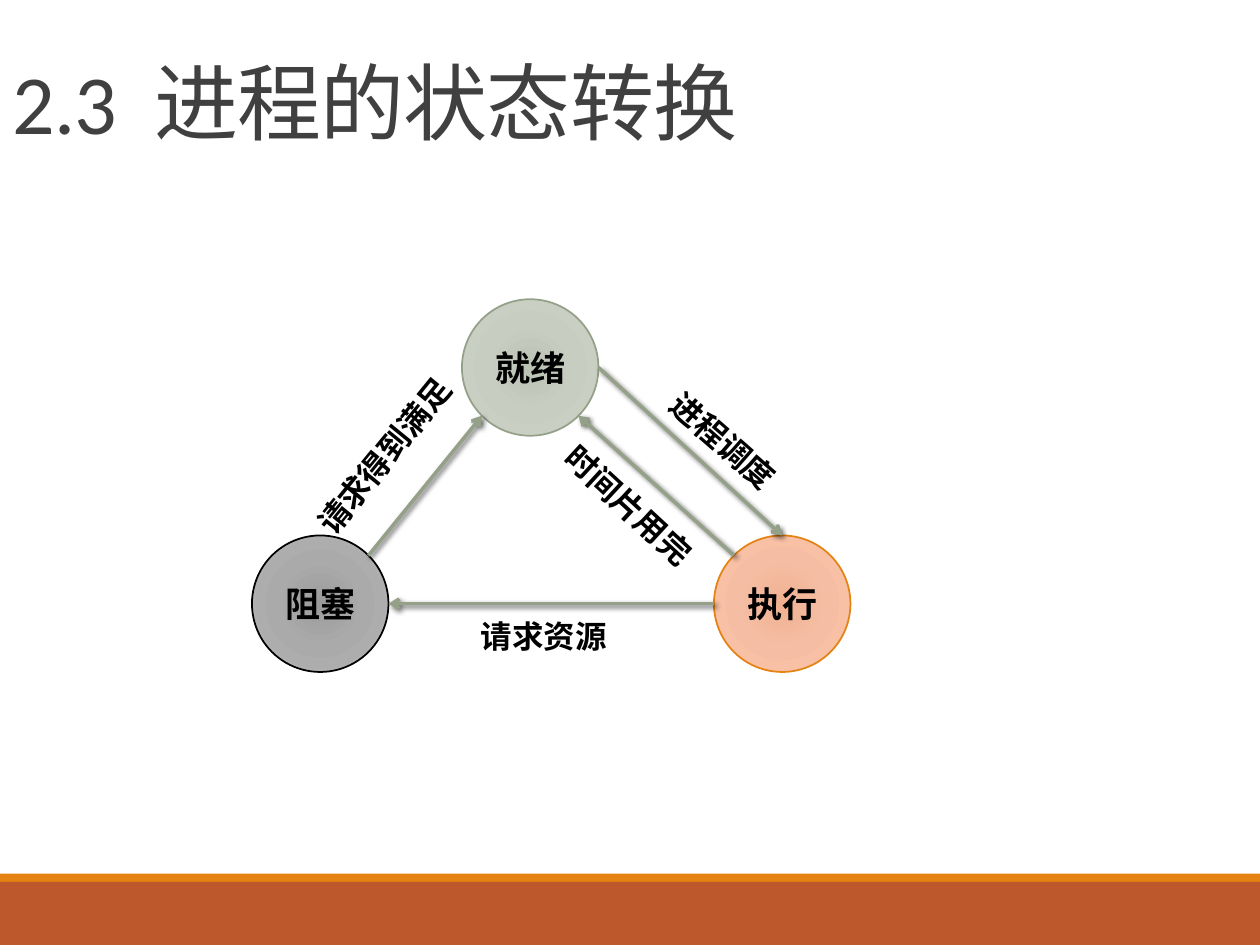
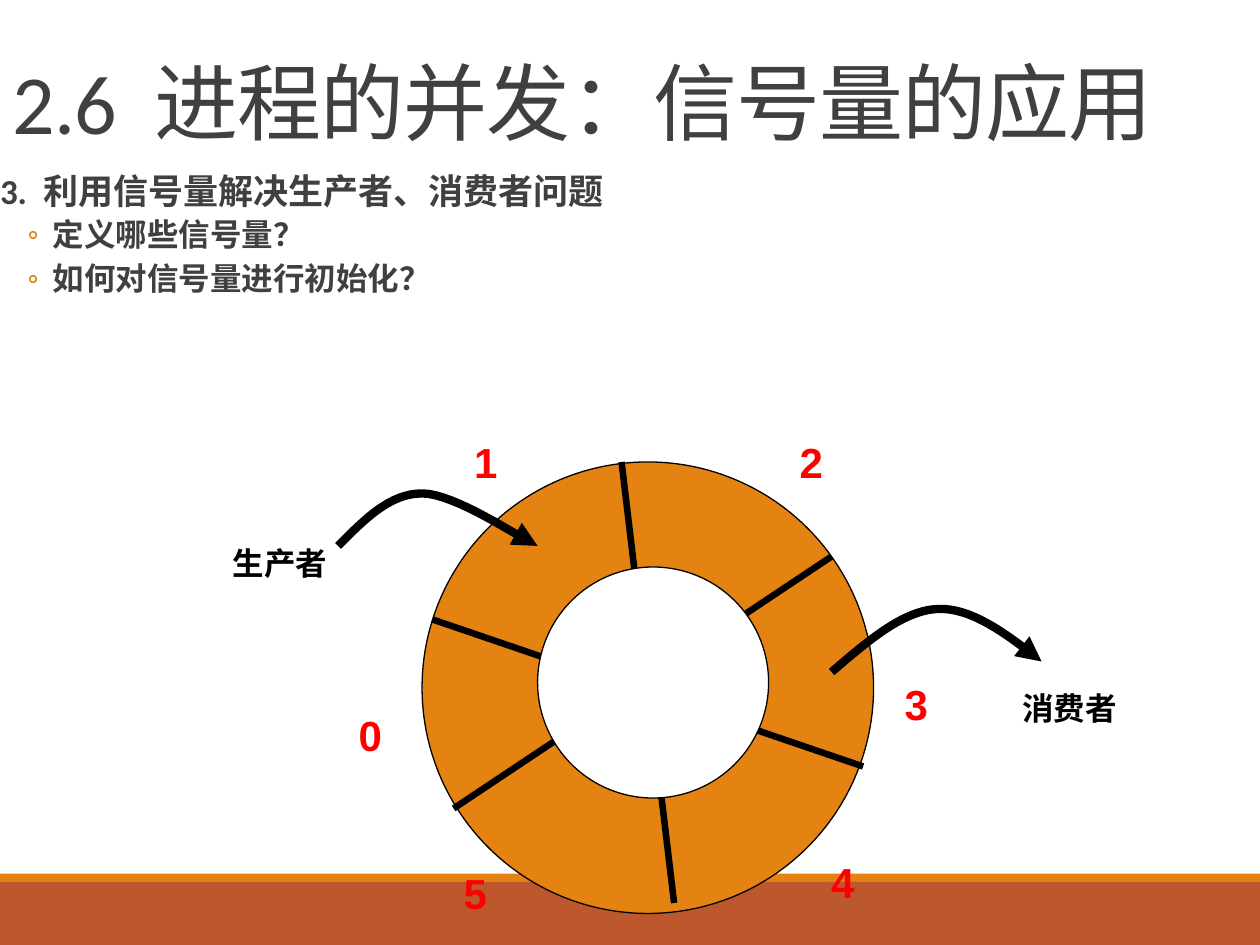
from math import cos, radians, sin

from pptx import Presentation
from pptx.dml.color import RGBColor
from pptx.enum.shapes import MSO_CONNECTOR as Link, MSO_SHAPE as Preset
from pptx.enum.text import MSO_ANCHOR as Anchor, MSO_AUTO_SIZE as AutoSize, PP_ALIGN as Align
from pptx.oxml import parse_xml
from pptx.oxml.ns import nsdecls, qn
from pptx.util import Inches, Pt

# Shared style: the grid has 120 columns and 90 rows of equal square cells
COLUMNS, ROWS = 120, 90
CELL = Inches(10) / COLUMNS
INK, BLACK, WHITE, RED = "404040", "000000", "FFFFFF", "FF0000"
ORANGE, RUST, SAGE = "E48312", "BD582C", "94A088"
BODY_FONT, LABEL_FONT = "Calibri", "Arial"
SPACE_WIDTH = 0.23  # width of a space as a share of the font size

TITLE_FRAME = dict(vertical_anchor=Anchor.BOTTOM, word_wrap=True, auto_size=AutoSize.NONE)
BODY_FRAME = dict(vertical_anchor=Anchor.TOP, word_wrap=True, auto_size=AutoSize.NONE,
                  margin_left=0, margin_right=0)
TITLE_PARAGRAPH = dict(alignment=Align.LEFT, line_spacing=0.85, space_before=Pt(0))
HEADING = dict(alignment=Align.JUSTIFY, line_spacing=0.9, space_before=Pt(0), space_after=Pt(2))
QUESTION = dict(level=1, alignment=Align.JUSTIFY, line_spacing=0.9,
                space_before=Pt(2), space_after=Pt(4))


def color(hex_code):
    return RGBColor.from_string(hex_code)


def apply(target, formats):
    for name, value in formats.items():
        setattr(target, name, value)


def xml(body):
    """Parse one drawing element, given without its namespace declaration."""
    tag = body.split(">")[0].split()[0].rstrip("/")
    return parse_xml(body.replace(tag, f"{tag} {nsdecls('a')}", 1))


class Deck:
    def __init__(self):
        self.prs = Presentation()
        self.prs.slide_width, self.prs.slide_height = round(COLUMNS * CELL), round(ROWS * CELL)
        self.slide = None

    def cells(self, *lengths):
        return [round(length * CELL) for length in lengths]

    def new_slide(self, layout, title):
        first = self.slide is None
        self.slide = self.prs.slides.add_slide(self.prs.slide_layouts[layout])
        if first:
            self.footer_bands()
        heading = self.slide.shapes.title
        self.place(heading, 0, 0, COLUMNS, 15)
        apply(heading.text_frame, TITLE_FRAME)
        paragraph = heading.text_frame.paragraphs[0]
        apply(paragraph, TITLE_PARAGRAPH)
        self.numbered(paragraph, title, 48, tracking=-0.5)

    def footer_bands(self):
        """Put both bands on the master, behind its placeholders."""
        master_tree = self.prs.slide_master.shapes.element
        for top, height, fill in ((84, 6, RUST), (83.2, 0.8, ORANGE)):
            band = self.shape(Preset.RECTANGLE, 0, top, COLUMNS, height, fill)
            master_tree.insert(2, band.element)

    def place(self, item, *box):
        apply(item, dict(zip(("left", "top", "width", "height"), self.cells(*box))))

    def run(self, paragraph, text, size, hex_code=BLACK, font=BODY_FONT, bold=False, tracking=0):
        run = paragraph.add_run()
        run.text = text
        apply(run.font, dict(name=font, size=Pt(size), bold=bold))
        run.font.color.rgb = color(hex_code)
        if tracking:
            run.font._element.set("spc", str(round(tracking * 100)))

    def numbered(self, paragraph, text, size, bold=False, tracking=0):
        """Write a number and its heading with a widened space between them."""
        number, heading = text.split(" ", 1)
        gap = SPACE_WIDTH * size + tracking
        for part, spread in ((number, tracking), (" ", gap), (heading, tracking)):
            self.run(paragraph, part, size, INK, bold=bold, tracking=spread)

    def body(self, heading, questions):
        box = self.slide.placeholders[1]
        self.place(box, 0, 16, COLUMNS, 70)
        frame = box.text_frame
        apply(frame, BODY_FRAME)
        first = frame.paragraphs[0]
        self.bullet(first, 0.1, -0.1)
        apply(first, HEADING)
        self.numbered(first, heading, 20, bold=True)
        for question in questions:
            paragraph = frame.add_paragraph()
            self.bullet(paragraph, 0.42, -0.2, "◦")
            apply(paragraph, QUESTION)
            self.run(paragraph, question, 18, INK, bold=True)

    def bullet(self, paragraph, margin, indent, mark=None):
        props = paragraph._p.get_or_add_pPr()
        props.set("marL", str(Inches(margin)))
        props.set("indent", str(Inches(indent)))
        if mark:
            props.append(xml(f'<a:buClr><a:srgbClr val="{ORANGE}"/></a:buClr>'))
            props.append(xml(f'<a:buFont typeface="{BODY_FONT}"/>'))
            props.append(xml(f'<a:buChar char="{mark}"/>'))
        else:
            props.append(xml("<a:buNone/>"))

    def shape(self, preset, left, top, width, height, fill, line=None, weight=0.75):
        item = self.slide.shapes.add_shape(preset, *self.cells(left, top, width, height))
        item.shadow.inherit = False
        item.fill.solid()
        item.fill.fore_color.rgb = color(fill)
        if line:
            self.stroke(item, line, weight)
        else:
            item.line.fill.background()
        return item

    def circle(self, left, top, size, fill, line=BLACK, weight=0.75):
        return self.shape(Preset.OVAL, left, top, size, size, fill, line, weight)

    def state(self, name, left, top, size, shades, line):
        """Draw a process state: a circle with a radial gradient and its name."""
        node = self.circle(left, top, size, shades[0], line, 1)
        stops = "".join(f'<a:gs pos="{share * 1000}"><a:srgbClr val="{shade}"/></a:gs>'
                        for share, shade in zip((0, 45, 100), shades))
        edges = " ".join(f'{side}="100000"' for side in "ltrb")
        props = node.element.spPr
        props.replace(props.find(qn("a:solidFill")), xml(
            f'<a:gradFill><a:gsLst>{stops}</a:gsLst>'
            f'<a:path path="circle"><a:fillToRect {edges}/></a:path></a:gradFill>'))
        frame = node.text_frame
        apply(frame, dict(vertical_anchor=Anchor.MIDDLE, word_wrap=True))
        frame.paragraphs[0].alignment = Align.CENTER
        self.run(frame.paragraphs[0], name, 20, bold=True)

    def stroke(self, item, hex_code, weight, arrow=None):
        item.line.color.rgb = color(hex_code)
        item.line.width = Pt(weight)
        if arrow:
            item.element.spPr.find(qn("a:ln")).append(xml(f'<a:tailEnd type="{arrow}"/>'))

    def line(self, start, end, hex_code, weight, arrow=None, shadow=False):
        link = self.slide.shapes.add_connector(Link.STRAIGHT, *self.cells(*start, *end))
        self.stroke(link, hex_code, weight, arrow)
        effect = (f'<a:outerShdw blurRad="{Pt(3)}" dist="{Pt(2)}" dir="2700000">'
                  f'<a:srgbClr val="{BLACK}"><a:alpha val="60000"/></a:srgbClr>'
                  '</a:outerShdw>') if shadow else ""
        link.element.spPr.append(xml(f"<a:effectLst>{effect}</a:effectLst>"))

    def curve(self, points, steps=16):
        """Draw an arrow along joined cubic curves, each with four control points."""
        track = []
        for first in range(0, len(points) - 1, 3):
            for step in range(1, steps + 1):
                t = step / steps
                weights = ((1 - t) ** 3, 3 * t * (1 - t) ** 2, 3 * t * t * (1 - t), t ** 3)
                track.append(self.cells(*(
                    sum(w * p[axis] for w, p in zip(weights, points[first:first + 4]))
                    for axis in (0, 1))))
        builder = self.slide.shapes.build_freeform(*self.cells(*points[0]))
        builder.add_line_segments(track, close=False)
        arc = builder.convert_to_shape()
        arc.shadow.inherit = False
        arc.fill.background()
        self.stroke(arc, BLACK, 4.75, "triangle")

    def label(self, text, x, y, size=18, hex_code=BLACK, turn=0):
        """Write a bold label around the centre x, y; its box follows the text size."""
        ems = sum(0.56 if char.isascii() else 1 for char in text)
        width, height = ems * size / 6 + 2.4, size * 0.2 + 1.2
        box = self.slide.shapes.add_textbox(
            *self.cells(x - width / 2, y - height / 2, width, height))
        box.rotation = turn
        apply(box.text_frame, dict(word_wrap=False, auto_size=AutoSize.SHAPE_TO_FIT_TEXT))
        self.run(box.text_frame.paragraphs[0], text, size, hex_code, LABEL_FONT, True)


def state_transitions(deck):
    deck.new_slide(5, "2.3 进程的状态转换")

    # States
    size = 13
    states = {
        "就绪": (44, 28.5, ("BBC3B5", "C7CDC1", "CDD4C7"), SAGE),
        "执行": (68, 51, ("F0B191", "F5BEA4", "FDC3A8"), ORANGE),
        "阻塞": (24, 51, ("9C9C9C", "AAAAAA", "B4B4B4"), BLACK),
    }
    for name, (left, top, shades, line) in states.items():
        deck.state(name, left, top, size, shades, line)

    def rim(name, degrees):
        left, top = states[name][:2]
        angle = radians(degrees)
        return left + size / 2 * (1 + cos(angle)), top + size / 2 * (1 + sin(angle))

    # Transitions: leaving and entering angles, then label centre and turn
    transitions = (
        ("执行", 180, "阻塞", 0, "请求资源", 51.8, 60.6, 0),
        ("阻塞", -45, "就绪", 135, "请求得到满足", 36.6, 43.4, 309.2),
        ("就绪", 0, "执行", -90, "进程调度", 68.9, 42, 41.3),
        ("执行", 225, "就绪", 45, "时间片用完", 59.9, 48.1, 42.7),
    )
    for source, leave, target, enter, cause, x, y, turn in transitions:
        deck.line(rim(source, leave), rim(target, enter), SAGE, 2, "arrow", shadow=True)
        deck.label(cause, x, y, turn=turn)


def producer_consumer(deck):
    deck.new_slide(1, "2.6 进程的并发：信号量的应用")
    deck.body("3. 利用信号量解决生产者、消费者问题",
              ("定义哪些信号量？", "如何对信号量进行初始化？"))

    # Ring buffer with six slots
    deck.circle(40.2, 44, 43, ORANGE)
    for start, end in (((43.2, 77), (79.2, 53)),
                       ((59.2, 44), (64.2, 86)),
                       ((41.2, 59), (82.2, 73))):
        deck.line(start, end, BLACK, 3.75)
    deck.circle(51.2, 54, 22, WHITE)

    # Producer and consumer
    deck.curve(((32.2, 52), (34.7, 49.5), (37.1, 47), (40.2, 47),
                (43.3, 47), (49.3, 51.1), (51.2, 52)))
    deck.curve(((79.2, 64), (82.6, 61.1), (85.9, 58.2), (89.2, 58),
                (92.5, 57.8), (95.9, 60.4), (99.2, 63)))
    deck.label("生产者", 26.7, 53.6)
    deck.label("消费者", 101.9, 67.4)

    # Slot numbers
    slots = ((35.3, 70), (46.3, 44), (77.3, 44), (87.3, 67), (80.3, 84), (45.3, 85))
    for number, (x, y) in enumerate(slots):
        deck.label(str(number), x, y, 24, RED)


def main():
    deck = Deck()
    state_transitions(deck)
    producer_consumer(deck)
    deck.prs.save("out.pptx")


if __name__ == "__main__":
    main()
